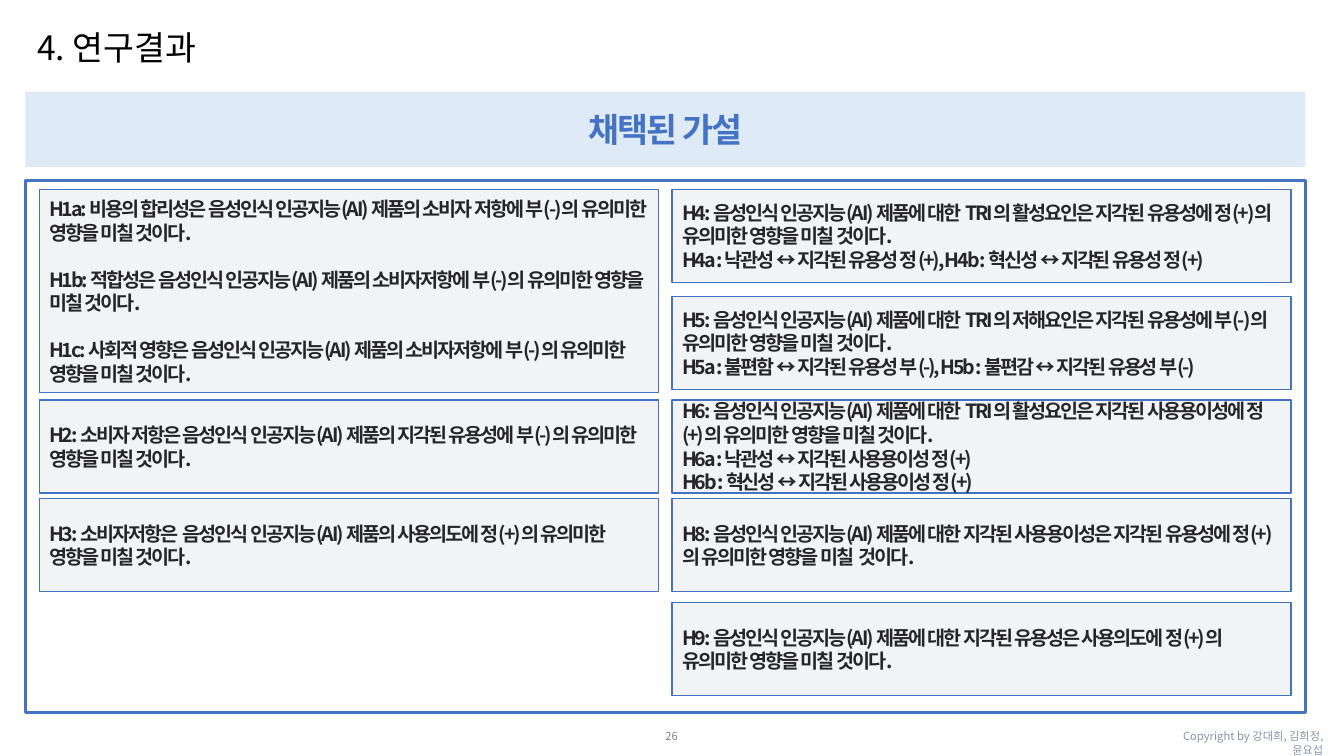
import pptx
import pptx.util
import pptx.dml.color
import pptx.enum.lang
import pptx.enum.shapes
import pptx.enum.text
import pptx.oxml
import pptx.oxml.ns
from pptx.util import Cm

FACE = "Noto Sans CJK KR"
HUES = {
    "blue": "4472C4", "pale": "DEEBF7", "haze": "7C8BB6", "ink": "262626",
    "black": "000000", "gray": "808080", "slate": "8892AA",
}
ALIGN = pptx.enum.text.PP_ALIGN
ANCHOR = pptx.enum.text.MSO_ANCHOR
INSET = {"margin_left": Cm(0.25), "margin_right": Cm(0.25),
         "margin_top": Cm(0.13), "margin_bottom": Cm(0.13)}
TEXTS = {
    "title": {"size": 24, "hue": "black", "align": ALIGN.LEFT},
    "head": {"size": 24, "hue": "blue", "align": ALIGN.CENTER, "bold": True, "track": -150},
    "card": {"size": 14, "hue": "ink", "align": ALIGN.LEFT, "bold": True, "track": -150},
    "page": {"size": 8, "hue": "gray", "align": ALIGN.CENTER},
    "rights": {"size": 8, "hue": "slate", "align": ALIGN.RIGHT},
}

LEFT, RIGHT = 0.99, 16.94
WIDE, HIGH, TALL = 15.6, 2.34, 5.11
CARDS = [
    (LEFT, 4.78, TALL, 1, [
        "H1a: 비용의 합리성은 음성인식 인공지능(AI) 제품의 소비자 저항에 부(-)의 유의미한 영향을 미칠 것이다.",
        "H1b: 적합성은 음성인식 인공지능(AI) 제품의 소비자저항에 부(-)의 유의미한 영향을 미칠 것이다.",
        "H1c: 사회적 영향은 음성인식 인공지능(AI) 제품의 소비자저항에 부(-)의 유의미한 영향을 미칠 것이다."]),
    (LEFT, 10.08, HIGH, 0, [
        "H2: 소비자 저항은 음성인식 인공지능(AI) 제품의 지각된 유용성에 부(-)의 유의미한 영향을 미칠 것이다."]),
    (LEFT, 12.57, HIGH, 0, [
        "H3: 소비자저항은  음성인식 인공지능(AI) 제품의 사용의도에 정(+)의 유의미한 영향을 미칠 것이다."]),
    (RIGHT, 4.78, HIGH, 0, [
        "H4: 음성인식 인공지능(AI) 제품에 대한 TRI의 활성요인은 지각된 유용성에 정(+)의 유의미한 영향을 미칠 것이다.",
        "H4a : 낙관성 ↔ 지각된 유용성 정(+), H4b : 혁신성 ↔ 지각된 유용성 정(+)"]),
    (RIGHT, 7.47, HIGH, 0, [
        "H5: 음성인식 인공지능(AI) 제품에 대한 TRI의 저해요인은 지각된 유용성에 부(-)의 유의미한 영향을 미칠 것이다.",
        "H5a : 불편함 ↔ 지각된 유용성 부(-), H5b : 불편감 ↔ 지각된 유용성 부(-)"]),
    (RIGHT, 10.08, HIGH, 0, [
        "H6: 음성인식 인공지능(AI) 제품에 대한 TRI의 활성요인은 지각된 사용용이성에 정(+)의 유의미한 영향을 미칠 것이다.",
        "H6a : 낙관성 ↔ 지각된 사용용이성 정(+)",
        "H6b : 혁신성 ↔ 지각된 사용용이성 정(+)"]),
    (RIGHT, 12.57, HIGH, 0, [
        "H8: 음성인식 인공지능(AI) 제품에 대한 지각된 사용용이성은 지각된 유용성에 정(+)의 유의미한 영향을 미칠  것이다."]),
    (RIGHT, 15.19, HIGH, 0, [
        "H9: 음성인식 인공지능(AI) 제품에 대한 지각된 유용성은 사용의도에 정(+)의 유의미한 영향을 미칠 것이다."]),
]


def color(hue):
    return pptx.dml.color.RGBColor.from_string(HUES[hue])


def apply(item, values):
    for name, value in values.items():
        setattr(item, name, value)


def write(shape, lines, kind, anchor, gap=0, **frame):
    """Fill a shape with paragraphs; gap is counted in lines of text."""
    form = TEXTS[kind]
    pitch = pptx.util.Pt(form["size"] * 1.2)
    body = shape.text_frame
    apply(body, {"word_wrap": True, "vertical_anchor": anchor, **INSET, **frame})
    for i, line in enumerate(lines):
        para = body.paragraphs[0] if i == 0 else body.add_paragraph()
        apply(para, {"alignment": form["align"], "line_spacing": pitch,
                     "space_before": int(pitch * gap) if i else 0})
        run = para.add_run()
        run.text = line
        apply(run.font, {"name": FACE, "size": pptx.util.Pt(form["size"]),
                         "bold": form.get("bold", False),
                         "language_id": pptx.enum.lang.MSO_LANGUAGE_ID.KOREAN})
        run.font.color.rgb = color(form["hue"])
        props = run.font._element
        if "track" in form:
            props.set("spc", str(form["track"]))
        east = pptx.oxml.parse_xml("<a:ea %s/>" % pptx.oxml.ns.nsdecls("a"))
        east.set("typeface", FACE)
        props.append(east)


def panel(slide, place, fill=None, alpha=None, line=None):
    """Add a rectangle; alpha is the opacity in percent, line the width in points."""
    shape = slide.shapes.add_shape(pptx.enum.shapes.MSO_SHAPE.RECTANGLE, *map(Cm, place))
    shape.shadow.inherit = False
    if fill:
        shape.fill.solid()
        shape.fill.fore_color.rgb = color(fill)
    else:
        shape.fill.background()
    if alpha:
        tint = shape._element.spPr.find(".//" + pptx.oxml.ns.qn("a:srgbClr"))
        veil = pptx.oxml.parse_xml("<a:alpha %s/>" % pptx.oxml.ns.nsdecls("a"))
        veil.set("val", str(alpha * 1000))
        tint.append(veil)
    if line:
        shape.line.color.rgb = color("blue")
        shape.line.width = pptx.util.Pt(line)
    else:
        shape.line.fill.background()
    return shape


def label(slide, place, text, kind, anchor, **frame):
    box = slide.shapes.add_textbox(*map(Cm, place))
    write(box, [text], kind, anchor, **frame)


def main():
    deck = pptx.Presentation()
    apply(deck, {"slide_width": Cm(33.87), "slide_height": Cm(19.05)})
    slide = deck.slides.add_slide(deck.slide_layouts[5])

    title = slide.shapes.title
    apply(title, {"left": Cm(0.94), "top": Cm(0.56), "width": Cm(14.68), "height": Cm(0.84)})
    write(title, ["4. 연구결과"], "title", ANCHOR.TOP, margin_left=0)

    head = panel(slide, (0.64, 2.31, 32.26, 1.9), fill="pale")
    write(head, ["채택된 가설"], "head", ANCHOR.MIDDLE)

    for left, top, high, gap, lines in CARDS:
        card = panel(slide, (left, top, WIDE, high), fill="haze", alpha=10, line=1)
        write(card, lines, "card", ANCHOR.MIDDLE, gap)
    panel(slide, (0.64, 4.55, 32.26, 13.41), line=2.25)

    label(slide, (16.43, 18.34, 0.99, 0.43), "26", "page", ANCHOR.MIDDLE,
          **dict.fromkeys(INSET, 0))
    label(slide, (29.03, 18.26, 4.57, 0.61), "Copyright by 강대희, 김희정, 윤요섭",
          "rights", ANCHOR.TOP, margin_left=0)
    deck.save("out.pptx")


if __name__ == "__main__":
    main()
